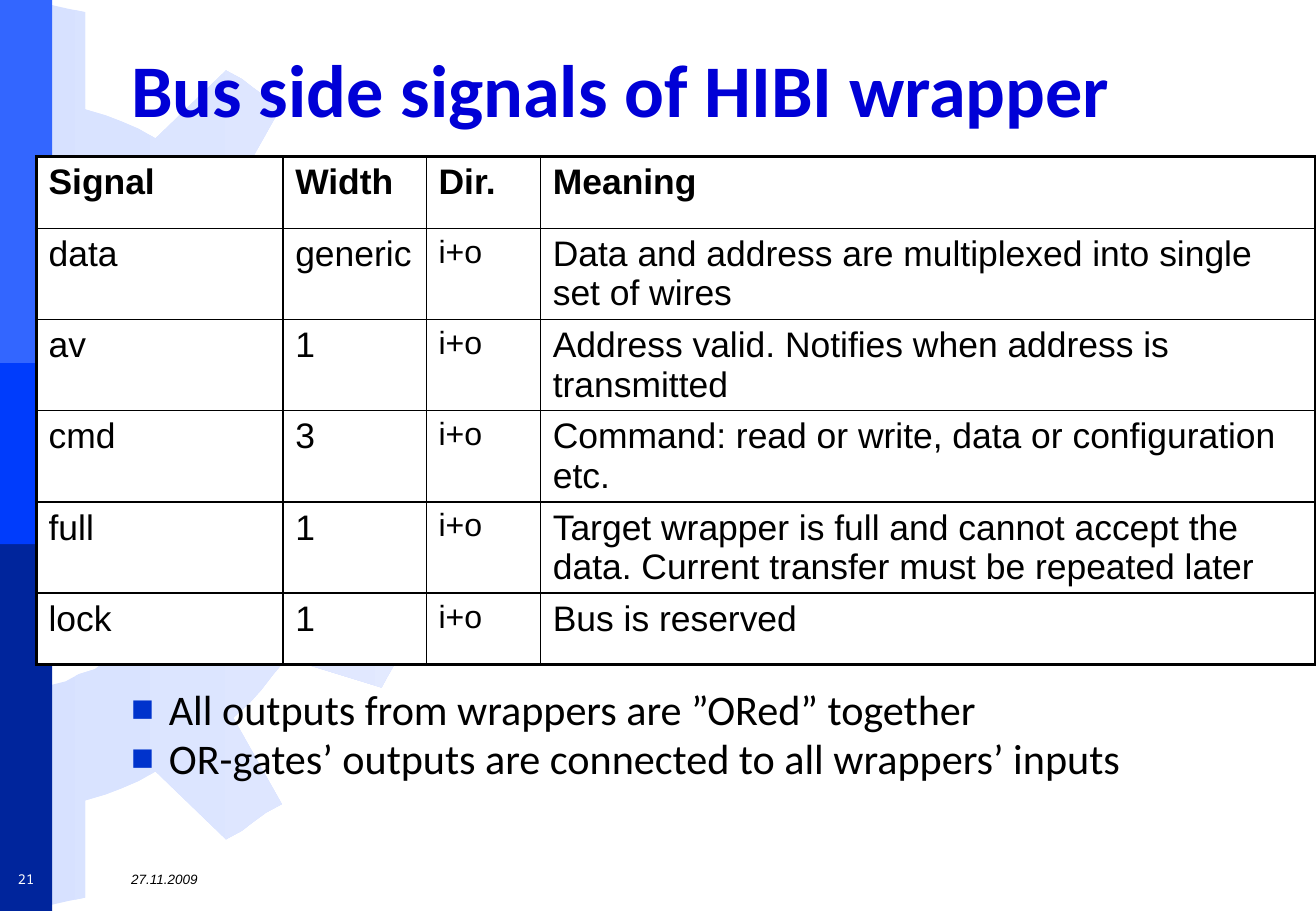
from lxml.etree import SubElement
from pptx import Presentation
from pptx.dml.color import RGBColor
from pptx.enum.shapes import MSO_SHAPE
from pptx.enum.text import MSO_ANCHOR, MSO_AUTO_SIZE, PP_ALIGN
from pptx.oxml.ns import qn
from pptx.util import Inches, Pt

GEAR_HEIGHT = 7.49
GEAR_HALF = [
    (0, 4.49), (1.73, 4.49), (1.67, 4.61), (1.6, 4.72), (1.55, 4.84), (1.47, 4.95),
    (1.39, 5.04), (1.3, 5.12), (1.19, 5.22), (1.11, 5.28), (1, 5.36), (0.89, 5.43),
    (0.78, 5.51), (0.65, 5.55), (0.54, 5.61), (0.42, 5.64), (0.28, 5.68), (0.14, 5.7),
    (0.14, 7.49), (0.29, 7.46), (0.42, 7.45), (0.55, 7.42), (0.7, 7.39), (0.7, 6.59),
    (0.87, 6.54), (1, 6.49), (1.14, 6.43), (1.28, 6.35), (1.86, 6.91), (1.99, 6.84),
    (2.08, 6.77), (2.19, 6.69), (2.32, 6.62), (1.92, 5.91), (2.06, 5.78), (2.15, 5.68),
    (2.25, 5.55), (2.36, 5.42), (3.14, 5.66), (3.2, 5.55), (3.27, 5.43), (3.33, 5.34),
    (3.38, 5.2), (2.73, 4.72), (2.75, 4.57), (2.81, 4.42), (2.83, 4.27), (2.86, 4.12),
    (3.67, 4), (3.7, 3.85),
]
STRIPES = [(0, 3.05, "3366FF"), (4.46, 3.04, "00259C"), (2.99, 1.49, "003CFC")]
COLUMNS = [2.03, 1.18, 0.94, 6.38]
SIGNALS = [
    ("Signal", "Width", "Dir.", "Meaning"),
    ("data", "generic", "i+o", "Data and address are multiplexed into single set of wires"),
    ("av", "1", "i+o", "Address valid. Notifies when address is transmitted"),
    ("cmd", "3", "i+o", "Command: read or write, data or configuration etc."),
    ("full", "1", "i+o", "Target wrapper is full and cannot accept the data. "
                         "Current transfer must be repeated later"),
    ("lock", "1", "i+o", "Bus is reserved"),
]
NOTES = ["All outputs from wrappers are ”ORed” together",
         "OR-gates’ outputs are connected to all wrappers’ inputs"]


def rgb(color):
    """Return the colour for a hex string."""
    return RGBColor.from_string(color)


def style(p, name, size, color, bold=False, italic=False):
    """Format every run of a paragraph."""
    for r in p.runs:
        r.font.name, r.font.size = name, Pt(size)
        r.font.bold, r.font.italic = bold, italic
        r.font.color.rgb = rgb(color)


def add_gear(s, x, y):
    """Draw the pale gear, its upper half mirrored from the lower one."""
    upper = [(px, GEAR_HEIGHT - py) for px, py in reversed(GEAR_HALF)]
    points = [(Inches(x + px), Inches(y + py)) for px, py in GEAR_HALF + upper]
    builder = s.shapes.build_freeform(*points[0])
    builder.add_line_segments(points[1:], close=True)
    sp = builder.convert_to_shape()
    sp.shadow.inherit = False
    sp.line.fill.background()
    sp.fill.gradient()
    sp.fill.gradient_angle = 0
    for stop, position, color in zip(sp.fill.gradient_stops, (0, 1), ("D7E1FF", "E3EAFF")):
        stop.position = position
        stop.color.rgb = rgb(color)


def add_stripes(s, x, y, w):
    """Draw the blue side bar."""
    for top, height, color in STRIPES:
        sp = s.shapes.add_shape(MSO_SHAPE.RECTANGLE, Inches(x), Inches(y + top),
                                Inches(w), Inches(height))
        sp.shadow.inherit = False
        sp.fill.solid()
        sp.fill.fore_color.rgb = rgb(color)
        sp.line.fill.background()


def place(s, sp, x, y, w, h, anchor):
    """Move a placeholder to its box, in front of what is drawn so far."""
    s.shapes._spTree.append(sp._element)
    sp.left, sp.top, sp.width, sp.height = (Inches(v) for v in (x, y, w, h))
    tf = sp.text_frame
    tf.auto_size = MSO_AUTO_SIZE.NONE
    tf.word_wrap = True
    tf.vertical_anchor = anchor
    return tf


def fill_title(s, x, y, w, h):
    """Write the slide title."""
    tf = place(s, s.shapes.title, x, y, w, h, MSO_ANCHOR.BOTTOM)
    tf.text = "Bus side signals of HIBI wrapper"
    p = tf.paragraphs[0]
    p.alignment = PP_ALIGN.LEFT
    p.line_spacing = 0.9
    style(p, "Calibri", 44, "0000D6", bold=True)


def set_borders(cell, widths):
    """Give a cell black borders, with a width for each side."""
    tcPr = cell._tc.get_or_add_tcPr()
    for side, width in widths.items():
        ln = SubElement(tcPr, qn(f"a:ln{side}"), w=str(Pt(width)))
        SubElement(SubElement(ln, qn("a:solidFill")), qn("a:srgbClr"), val="000000")


def add_signal_table(s, x, y, row_height):
    """Build the signal table with a thick outer frame."""
    rows, cols = len(SIGNALS), len(COLUMNS)
    table = s.shapes.add_table(rows, cols, Inches(x), Inches(y), Inches(sum(COLUMNS)),
                               Inches(row_height * rows)).table
    table.horz_banding = False
    for column, width in zip(table.columns, COLUMNS):
        column.width = Inches(width)
    for i, signal in enumerate(SIGNALS):
        for j, text in enumerate(signal):
            cell = table.cell(i, j)
            cell.text = text
            size = 19 if text == "i+o" else 21
            style(cell.text_frame.paragraphs[0], "Arial", size, "000000", bold=i == 0)
            outer = {"L": j == 0, "R": j == cols - 1, "T": i == 0, "B": i == rows - 1}
            set_borders(cell, {side: 2.25 if edge else 1 for side, edge in outer.items()})
            cell.fill.solid()
            cell.fill.fore_color.rgb = rgb("FFFFFF")


def add_bullet(p):
    """Give a paragraph a blue square bullet with a hanging indent."""
    pPr = p._p.get_or_add_pPr()
    pPr.set("marL", str(Inches(0.31)))
    pPr.set("indent", str(Inches(-0.31)))
    SubElement(SubElement(pPr, qn("a:buClr")), qn("a:srgbClr"), val="0033CC")
    SubElement(pPr, qn("a:buSzPct"), val="90000")
    SubElement(pPr, qn("a:buChar"), char="■")


def fill_notes(s, x, y, w, h):
    """Write the bullet list below the table."""
    tf = place(s, s.placeholders[1], x, y, w, h, MSO_ANCHOR.TOP)
    for i, text in enumerate(NOTES):
        p = tf.add_paragraph() if i else tf.paragraphs[0]
        p.text = text
        add_bullet(p)
        p.line_spacing = 0.8
        p.space_before = Pt(5 if i else 0)
        style(p, "Calibri", 25, "000000")


def add_footer(s, x, y, w, h, text, name, color, align, italic):
    """Add one small footer text."""
    tf = s.shapes.add_textbox(Inches(x), Inches(y), Inches(w), Inches(h)).text_frame
    tf.word_wrap = False
    tf.vertical_anchor = MSO_ANCHOR.MIDDLE
    tf.text = text
    p = tf.paragraphs[0]
    p.alignment = align
    style(p, name, 8, color, italic=italic)


def main():
    """Build and save the slide."""
    prs = Presentation()
    prs.slide_width, prs.slide_height = Inches(10.83), Inches(7.5)
    s = prs.slides.add_slide(prs.slide_layouts[1])
    add_gear(s, 0, 0)
    add_stripes(s, 0, 0, 0.43)
    fill_title(s, 0.98, 0.21, 9.39, 0.94)
    add_signal_table(s, 0.3, 1.29, 0.59)
    add_footer(s, 0.98, 7.11, 9.39, 0.26, "27.11.2009", "Arial", "000000", PP_ALIGN.LEFT, True)
    fill_notes(s, 0.98, 5.66, 9.85, 1.26)
    add_footer(s, 0, 7.11, 0.43, 0.26, "21", "Noto Sans Mono", "FFFFFF", PP_ALIGN.CENTER, False)
    prs.save("out.pptx")


if __name__ == "__main__":
    main()
